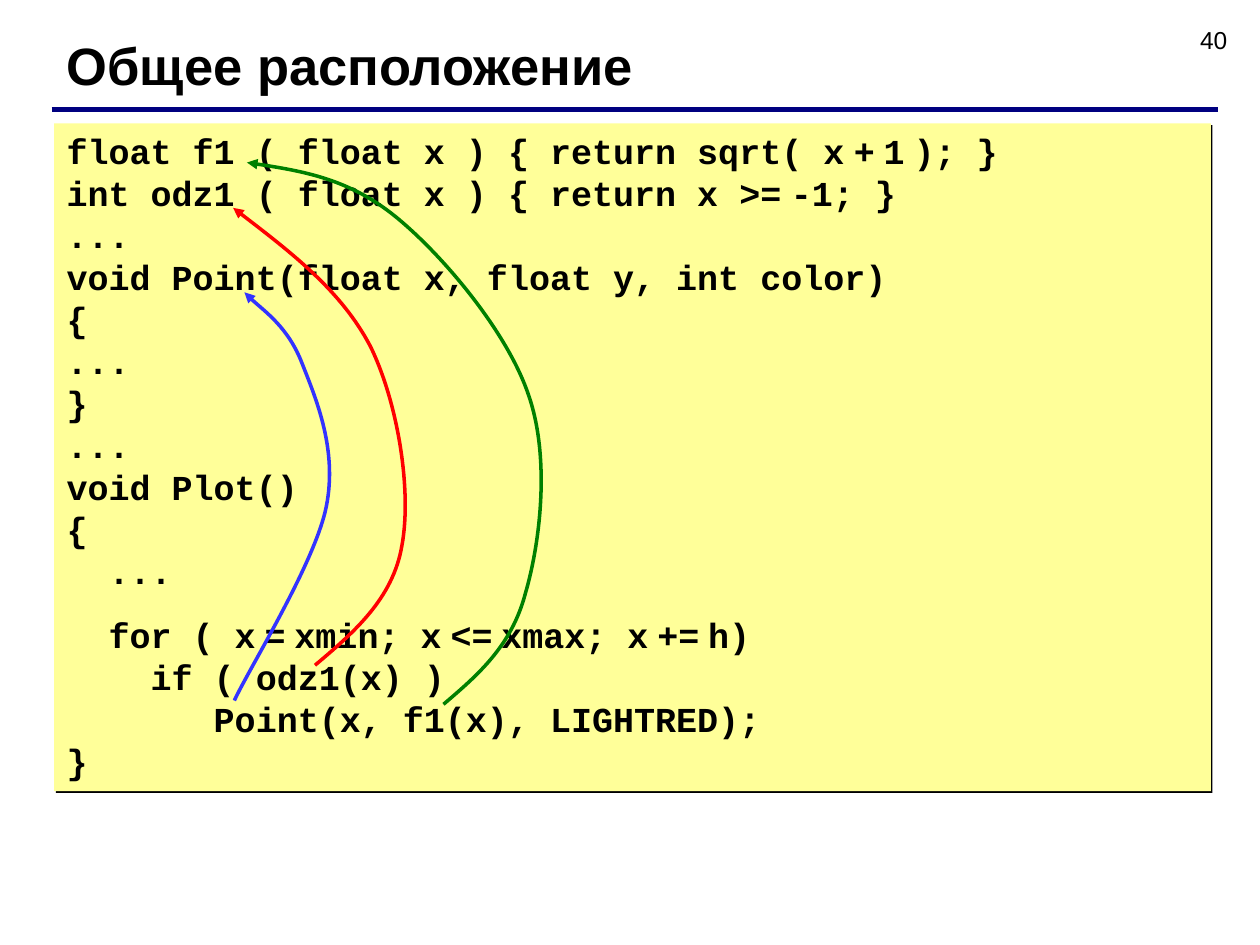
import lxml.etree
import pptx
import pptx.dml.color
import pptx.enum.shapes
import pptx.enum.text
import pptx.oxml
import pptx.oxml.ns
import pptx.util

RGB = pptx.dml.color.RGBColor
BLACK = RGB(0, 0, 0)
NAVY = RGB(0, 0, 0x80)
CREAM = RGB(0xFF, 0xFF, 0x99)
RED = RGB(0xFF, 0, 0)
BLUE = RGB(0x33, 0x33, 0xFF)
GREEN = RGB(0, 0x80, 0)

HEAD = {"name": "Arial", "size": pptx.util.Pt(30), "bold": True}
PAGE = {"name": "Arial", "size": pptx.util.Pt(14), "bold": False}
MONO = {"name": "Courier New", "size": pptx.util.Pt(20), "bold": True}
GAP = {"name": "Arial", "size": pptx.util.Pt(18), "bold": True}

# A tilde marks a narrow space set in the GAP format.
CODE = """float f1 ( float x ) { return sqrt( x~+~1~); }
int odz1 ( float x ) { return x >=~-1; }
...
void Point(float x, float y, int color)
{
...
}
...
void Plot()
{
  ...
  for ( x~=~xmin; x~<=~xmax; x~+=~h)
    if ( odz1(x) )
       Point(x, f1(x), LIGHTRED);
}""".split("\n")

# Each curve: start, then control, control, end for every segment.
CURVES = [
    (RED, [(25, 52.8), (28.1, 50.2), (31.2, 47.5), (31.9, 43.3),
           (32.7, 39), (31.6, 32), (29.4, 27.5),
           (27.1, 23.1), (22.8, 19.8), (18.5, 16.5)]),
    (BLUE, [(18.6, 55.6), (19.8, 53), (25, 44.7), (25.9, 40.2),
            (26.8, 35.7), (25.1, 31.7), (24, 28.9),
            (22.9, 26), (20.2, 24.1), (19.4, 23.2)]),
    (GREEN, [(35.2, 55.9), (37.9, 53.6), (40.6, 51.3), (41.7, 47.1),
             (42.9, 43), (43.7, 36.2), (41.9, 31.2),
             (40.2, 26.3), (35.2, 20.3), (31.4, 17.2),
             (27.7, 14.2), (23.6, 13.5), (19.6, 12.9)]),
]

deck = pptx.Presentation()
deck.slide_width = pptx.util.Inches(10)
deck.slide_height = pptx.util.Inches(7.5)
COL = deck.slide_width / 100
ROW = deck.slide_height / 75
slide = deck.slides.add_slide(deck.slide_layouts[5])
shapes = slide.shapes


def grid(*nums):
    """Turn alternating columns and rows into lengths."""
    return [round(n * (ROW if i % 2 else COL)) for i, n in enumerate(nums)]


def write(para, text, form):
    run = para.add_run()
    run.text = text
    for key, val in form.items():
        setattr(run.font, key, val)
    run.font.color.rgb = BLACK


page = shapes.add_textbox(*grid(75.1, 1.5, 23.3, 5.2)).text_frame
page.word_wrap = True
page.paragraphs[0].alignment = pptx.enum.text.PP_ALIGN.RIGHT
write(page.paragraphs[0], "40", PAGE)

rule = shapes.add_connector(pptx.enum.shapes.MSO_CONNECTOR.STRAIGHT,
                            *grid(4.1, 8.7, 96.7, 8.7))
rule.line.color.rgb = NAVY
rule.line.width = pptx.util.Pt(3)
lxml.etree.SubElement(rule._element.spPr, pptx.oxml.ns.qn("a:effectLst"))

title = shapes.title
title.left, title.top, title.width, title.height = grid(4.3, 2.1, 89, 6)
para = title.text_frame.paragraphs[0]
para.alignment = pptx.enum.text.PP_ALIGN.LEFT
write(para, "Общее расположение", HEAD)

box = shapes.add_shape(pptx.enum.shapes.MSO_SHAPE.RECTANGLE,
                       *grid(4.3, 9.8, 91.8, 53))
box.fill.solid()
box.fill.fore_color.rgb = CREAM
box.line.fill.background()
box._element.spPr.append(pptx.oxml.parse_xml(
    f'<a:effectLst {pptx.oxml.ns.nsdecls("a")}>'
    f'<a:outerShdw dist="{pptx.util.Pt(1.4)}" dir="2700000" algn="ctr" '
    'rotWithShape="0"><a:srgbClr val="000000"/></a:outerShdw></a:effectLst>'))
frame = box.text_frame
frame.word_wrap = True
frame.vertical_anchor = pptx.enum.text.MSO_ANCHOR.TOP
for i, line in enumerate(CODE):
    para = frame.add_paragraph() if i else frame.paragraphs[0]
    para.alignment = pptx.enum.text.PP_ALIGN.LEFT
    if line.startswith("  for"):
        para.space_before = pptx.util.Pt(12.5)
    for j, part in enumerate(line.split("~")):
        if j:
            write(para, " ", GAP)
        write(para, part, MONO)

for tint, spots in CURVES:
    spots = [grid(*spot) for spot in spots]
    pen = shapes.build_freeform(*spots[0])
    pen.add_line_segments(spots[1:], close=False)
    arc = pen.convert_to_shape()
    arc.shadow.inherit = False
    arc.fill.background()
    arc.line.color.rgb = tint
    arc.line.width = pptx.util.Pt(2)
    lxml.etree.SubElement(arc.line._ln, pptx.oxml.ns.qn("a:tailEnd"),
                          type="triangle")
    # Merge every three straight pieces into one Bezier segment.
    legs = arc._element.findall(".//" + pptx.oxml.ns.qn("a:lnTo"))
    for k in range(0, len(legs), 3):
        bend = lxml.etree.Element(pptx.oxml.ns.qn("a:cubicBezTo"))
        legs[k].addprevious(bend)
        for leg in legs[k:k + 3]:
            bend.append(leg[0])
            leg.getparent().remove(leg)

deck.save("out.pptx")
